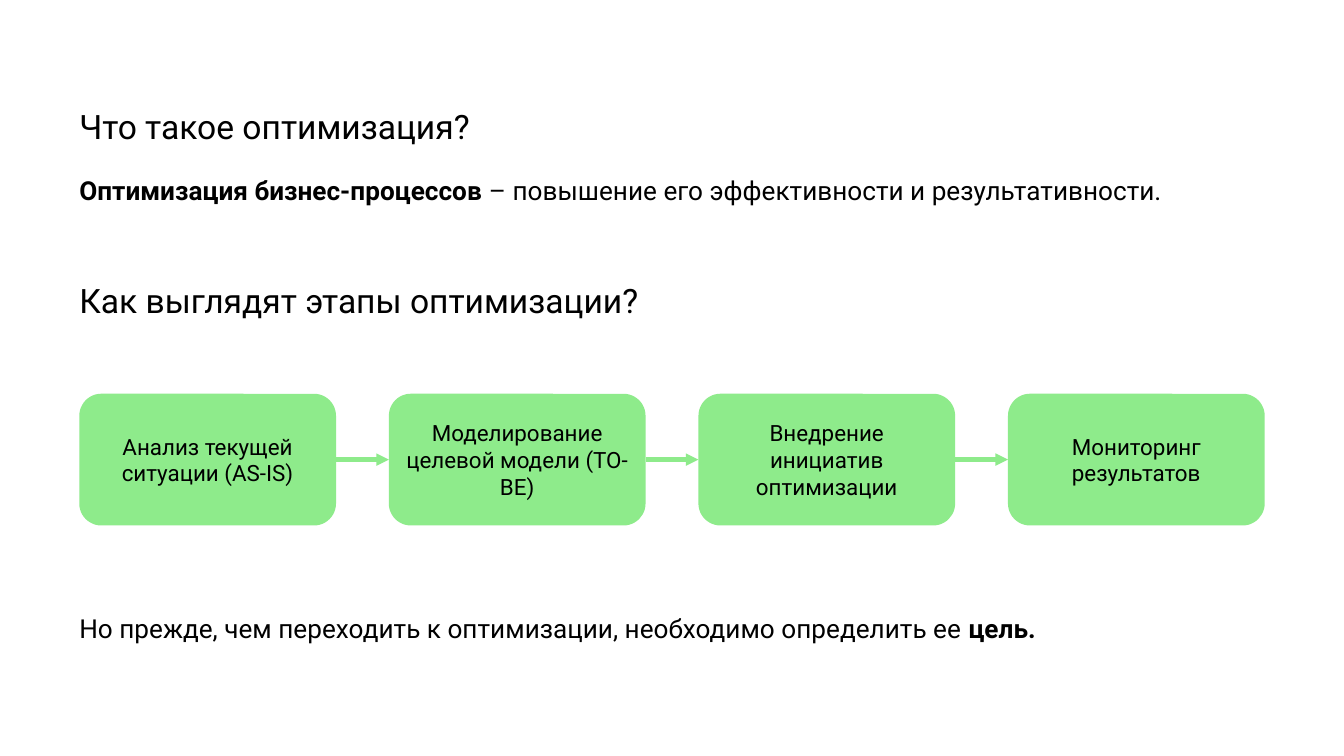
from lxml import etree
from pptx import Presentation
from pptx.dml.color import RGBColor
from pptx.enum.shapes import MSO_CONNECTOR, MSO_SHAPE
from pptx.enum.text import MSO_ANCHOR, PP_ALIGN
from pptx.oxml.ns import qn
from pptx.util import Inches, Pt

BLACK = RGBColor(0x00, 0x00, 0x00)
GREEN = RGBColor(0x8E, 0xEB, 0x8B)
FONT = "Roboto"
LEFT = 0.59

STEPS = [
    "Анализ текущей ситуации (AS-IS)",
    "Моделирование целевой модели (TO-BE)",
    "Внедрение инициатив оптимизации",
    "Мониторинг результатов",
]


def style_font(font, size, bold=False):
    font.name = FONT
    font.size = Pt(size)
    font.bold = bold
    font.color.rgb = BLACK


def set_margins(frame, horizontal, vertical):
    frame.margin_left = frame.margin_right = Inches(horizontal)
    frame.margin_top = frame.margin_bottom = Inches(vertical)


def add_text(page, left, top, width, height, size, spans):
    """Add one line of text from (wording, bold) spans."""
    box = page.shapes.add_textbox(
        Inches(left), Inches(top), Inches(width), Inches(height))
    frame = box.text_frame
    frame.word_wrap = True
    set_margins(frame, 0, 0)
    para = frame.paragraphs[0]
    for wording, bold in spans:
        span = para.add_run()
        span.text = wording
        style_font(span.font, size, bold)


def add_step(page, left, top, width, height, wording):
    step = page.shapes.add_shape(
        MSO_SHAPE.ROUNDED_RECTANGLE,
        Inches(left), Inches(top), Inches(width), Inches(height))
    step.shadow.inherit = False
    step.fill.solid()
    step.fill.fore_color.rgb = GREEN
    step.line.fill.background()
    frame = step.text_frame
    frame.word_wrap = True
    frame.vertical_anchor = MSO_ANCHOR.MIDDLE
    set_margins(frame, 0.07, 0.04)
    frame.text = wording
    para = frame.paragraphs[0]
    para.alignment = PP_ALIGN.CENTER
    style_font(para.runs[0].font, 12)
    return step


def add_arrow(page, start, end):
    """Join the right side of one step to the left side of the next."""
    arrow = page.shapes.add_connector(MSO_CONNECTOR.STRAIGHT, 0, 0, 0, 0)
    arrow.begin_connect(start, 3)
    arrow.end_connect(end, 1)
    arrow.line.color.rgb = GREEN
    arrow.line.width = Pt(2.25)
    etree.SubElement(arrow.line._get_or_add_ln(), qn("a:tailEnd"), type="triangle")
    etree.SubElement(arrow._element.spPr, qn("a:effectLst"))


def add_process(page, left, top, width, height, step_width=1.91):
    pitch = (width - step_width) / (len(STEPS) - 1)
    steps = [
        add_step(page, left + i * pitch, top, step_width, height, wording)
        for i, wording in enumerate(STEPS)
    ]
    for start, end in zip(steps, steps[1:]):
        add_arrow(page, start, end)


def main():
    deck = Presentation()
    deck.slide_width = Inches(10)
    deck.slide_height = deck.slide_width * 9 // 16
    page = deck.slides.add_slide(deck.slide_layouts[6])

    add_text(page, LEFT, 0.79, 4.22, 0.39, 18,
             [("Что такое оптимизация?", False)])
    add_text(page, LEFT, 1.3, 8.24, 0.56, 14,
             [("Оптимизация бизнес-процессов ", True),
              ("– повышение его эффективности и результативности.", False)])
    add_text(page, LEFT, 2.08, 5.55, 0.39, 18,
             [("Как выглядят этапы оптимизации?", False)])
    add_process(page, LEFT, 2.93, 8.82, 0.98)
    add_text(page, LEFT, 4.56, 8.24, 0.56, 14,
             [("Но прежде, чем переходить к оптимизации, необходимо определить ее ", False),
              ("цель.", True)])

    deck.save("out.pptx")


if __name__ == "__main__":
    main()
